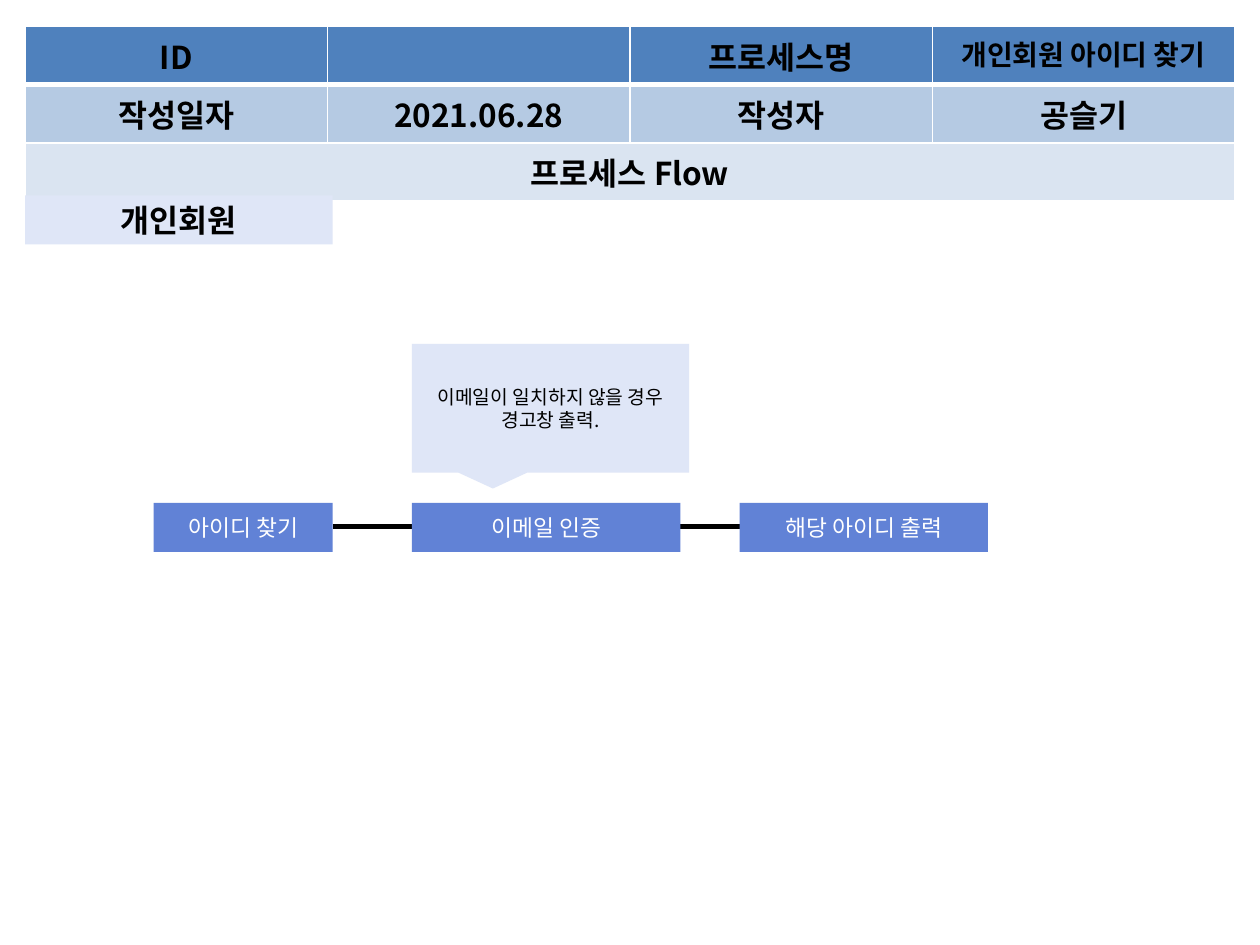
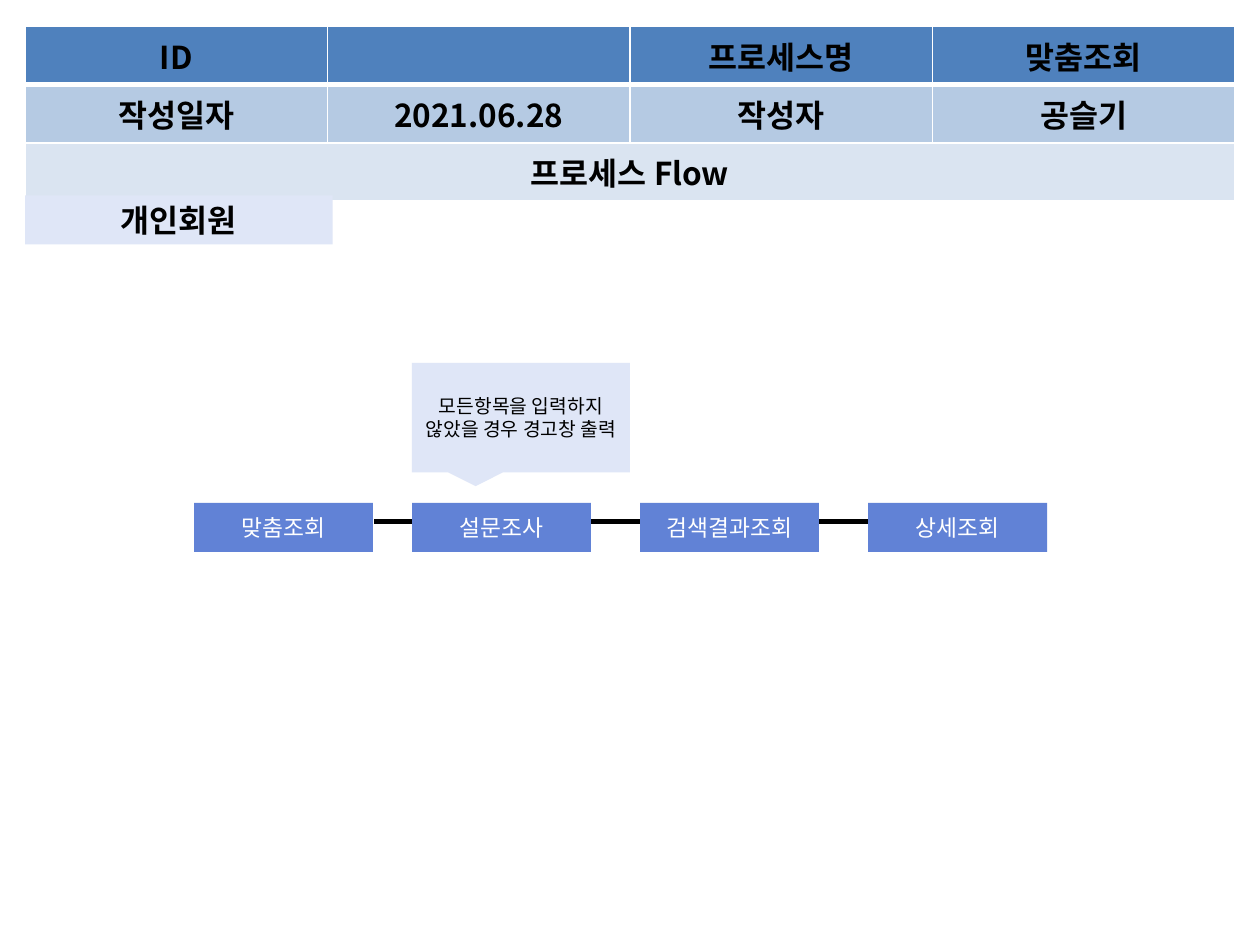
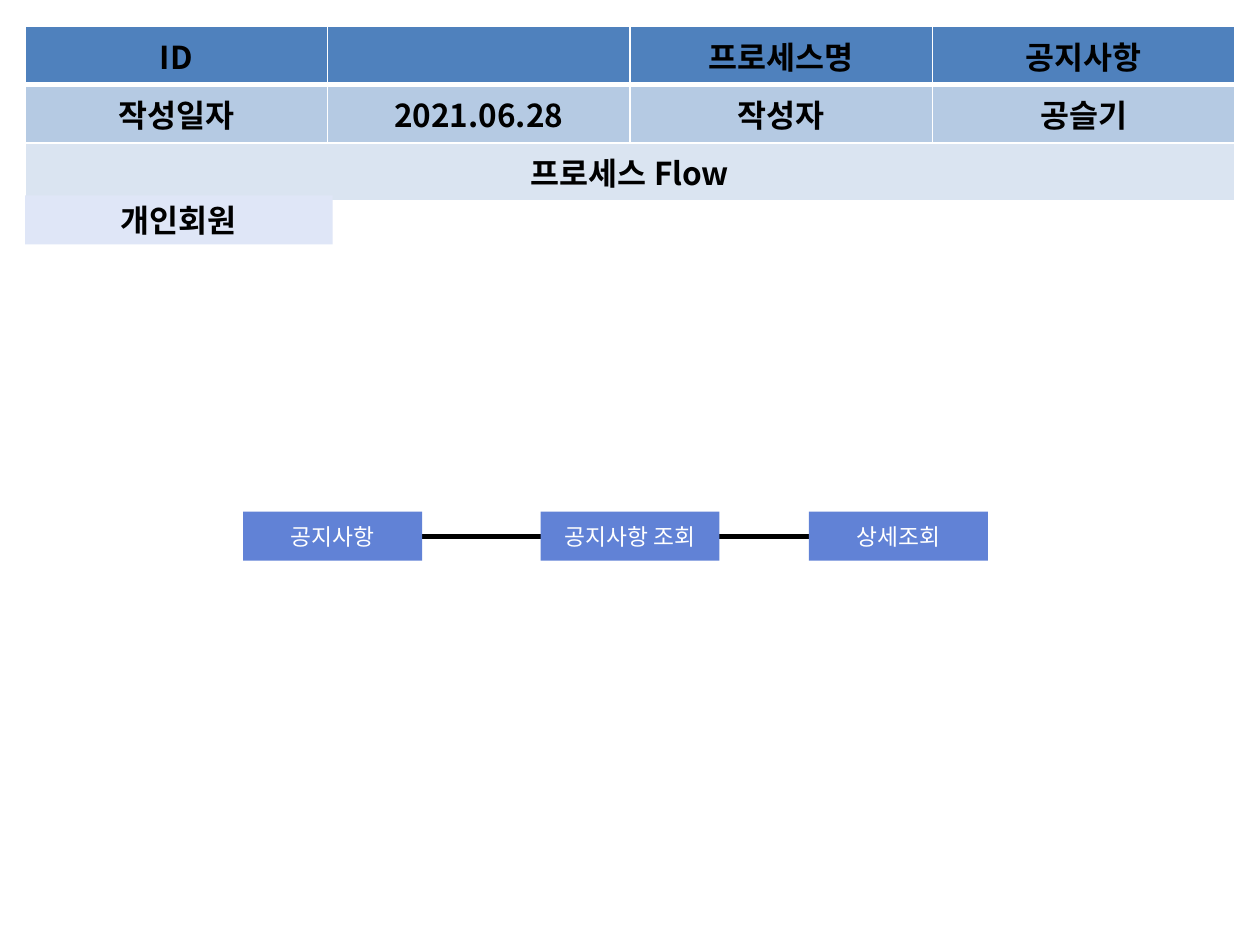
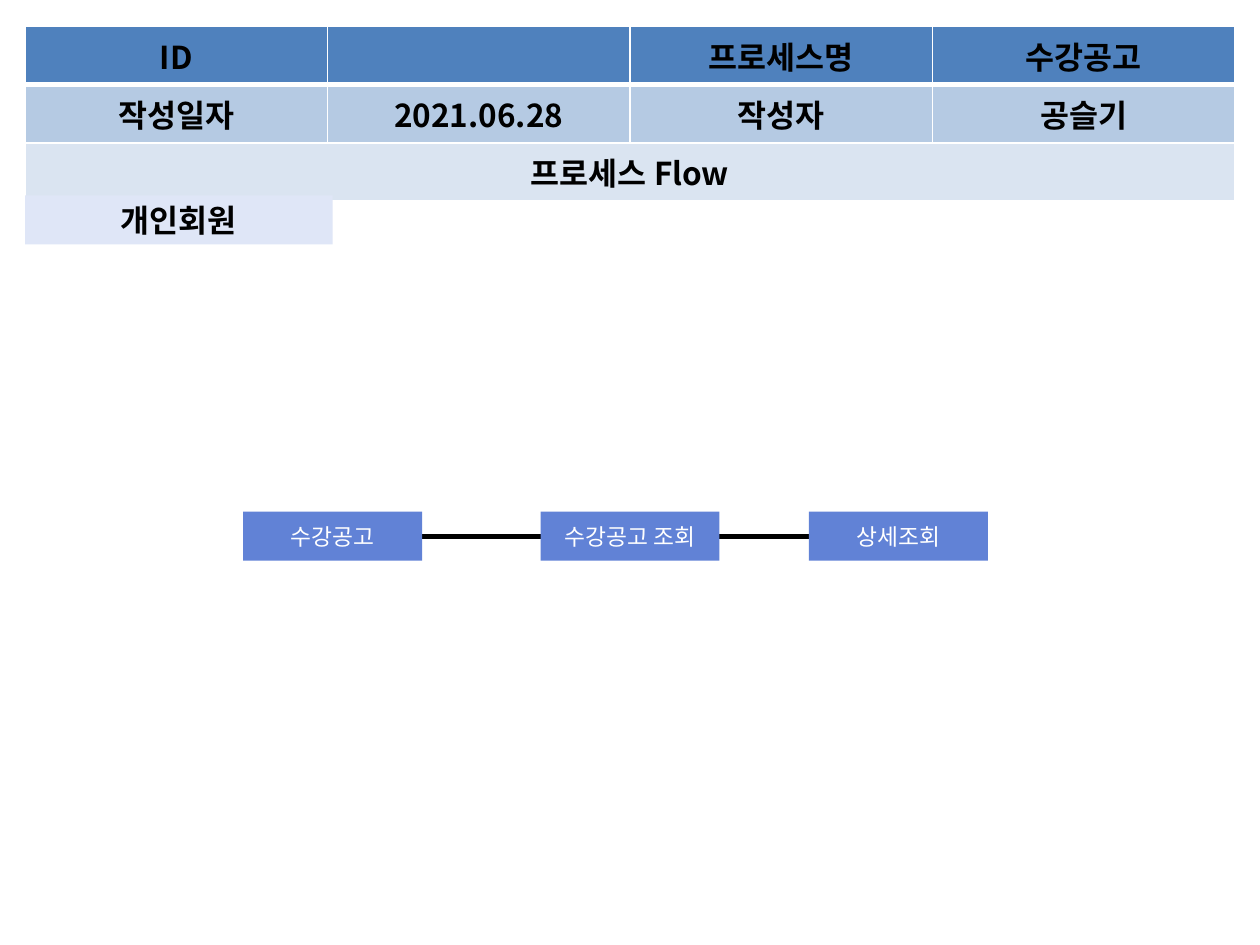
from dataclasses import dataclass

from lxml.etree import SubElement
from pptx import Presentation
from pptx.dml.color import RGBColor
from pptx.enum.shapes import MSO_CONNECTOR, MSO_SHAPE
from pptx.enum.text import MSO_ANCHOR, PP_ALIGN
from pptx.oxml.ns import qn
from pptx.util import Inches, Pt


@dataclass(frozen=True)
class Theme:
    """Colours, font and type sizes shared by all slides."""
    font: str = "Noto Sans CJK KR"
    black: str = "000000"
    white: str = "FFFFFF"
    pale: str = "DFE6F7"
    step: str = "6182D6"
    header_rows: tuple = ("4F81BD", "B5CAE3", "DAE4F1")
    heading_size: float = 18
    long_name_size: float = 16
    step_size: float = 13
    note_size: float = 11
    line_width: float = 3
    thin_border: float = 1


@dataclass(frozen=True)
class Box:
    """A region of the slide, in inches."""
    left: float
    top: float
    width: float
    height: float

    def lengths(self):
        """Return the four measures as lengths."""
        return [Inches(value) for value in
                (self.left, self.top, self.width, self.height)]


@dataclass(frozen=True)
class Process:
    """One process: its name, its row of steps and its connecting line."""
    name: str
    steps: tuple  # (text, left, width)
    top: float
    line: tuple  # (start, end, height on the slide)
    note: str = ""
    note_box: Box = None
    name_size: float = 18


THEME = Theme()
HEADER_BOX = Box(0.2, 0.21, 9.6, 1.23)
HEADER_COLUMNS = (1.02, 1.38, 2.4, 2.4, 2.4)
MEMBER_BOX = Box(0.2, 1.55, 2.44, 0.39)
STEP_WIDTH = 1.42
STEP_HEIGHT = 0.39


def listing_process(name):
    """Describe the process that lists entries and opens one of them."""
    return Process(
        name,
        ((name, 1.93, STEP_WIDTH), (f"{name} 조회", 4.29, STEP_WIDTH),
         ("상세조회", 6.42, STEP_WIDTH)),
        4.06, (3.35, 6.42, 4.26))


PROCESSES = (
    Process(
        "개인회원 아이디 찾기",
        (("아이디 찾기", 1.22, STEP_WIDTH), ("이메일 인증", 3.27, 2.13),
         ("해당 아이디 출력", 5.87, 1.97)),
        3.99, (2.64, 7.41, 4.18),
        "이메일이 일치하지 않을 경우 경고창 출력.", Box(3.27, 2.73, 2.2, 1.02),
        THEME.long_name_size),
    Process(
        "맞춤조회",
        tuple((text, left, STEP_WIDTH) for text, left in
              (("맞춤조회", 1.54), ("설문조사", 3.27),
               ("검색결과조회", 5.08), ("상세조회", 6.89))),
        3.99, (2.97, 6.9, 4.14),
        "모든항목을 입력하지 않았을 경우 경고창 출력", Box(3.27, 2.88, 1.73, 0.87)),
    listing_process("공지사항"),
    listing_process("수강공고"),
)


def write_text(text_frame, text, size, color, bold=False):
    """Write one centred paragraph in the theme font."""
    text_frame.word_wrap = True
    paragraph = text_frame.paragraphs[0]
    paragraph.text = text
    paragraph.alignment = PP_ALIGN.CENTER
    font = paragraph.font
    font.size = Pt(size)
    font.bold = bold
    font.color.rgb = RGBColor.from_string(color)
    font.name = THEME.font
    properties = paragraph._p.pPr.find(qn("a:defRPr"))
    SubElement(properties, qn("a:ea"), typeface=THEME.font)


def add_block(slide, box, text, fill, size, color,
              kind=MSO_SHAPE.RECTANGLE, bold=False):
    """Add a flat filled shape with centred text."""
    shape = slide.shapes.add_shape(kind, *box.lengths())
    shape.shadow.inherit = False
    shape.fill.solid()
    shape.fill.fore_color.rgb = RGBColor.from_string(fill)
    shape.line.fill.background()
    shape.text_frame.vertical_anchor = MSO_ANCHOR.MIDDLE
    write_text(shape.text_frame, text, size, color, bold)
    return shape


def set_borders(cell, row):
    """Draw white cell borders, with a thick rule below the first row."""
    widths = {"lnL": THEME.thin_border, "lnR": THEME.thin_border,
              "lnT": THEME.line_width if row == 1 else THEME.thin_border,
              "lnB": THEME.line_width if row == 0 else THEME.thin_border}
    properties = cell._tc.get_or_add_tcPr()
    for side, width in widths.items():
        border = SubElement(properties, qn(f"a:{side}"), w=str(Pt(width)))
        fill = SubElement(border, qn("a:solidFill"))
        SubElement(fill, qn("a:srgbClr"), val=THEME.white)


def add_header(slide, box, process):
    """Add the table that identifies the process."""
    rows = (("ID", "", "", "프로세스명", process.name),
            ("작성일자", "", "2021.06.28", "작성자", "공슬기"),
            ("프로세스 Flow", "", "", "", ""))
    table = slide.shapes.add_table(
        len(rows), len(HEADER_COLUMNS), *box.lengths()).table
    table.first_row = table.horz_banding = False
    for column, width in zip(table.columns, HEADER_COLUMNS):
        column.width = Inches(width)
    for row, last_merged in enumerate((1, 1, 4)):
        table.cell(row, 0).merge(table.cell(row, last_merged))
    for row, texts in enumerate(rows):
        for column, text in enumerate(texts):
            cell = table.cell(row, column)
            set_borders(cell, row)
            cell.fill.solid()
            cell.fill.fore_color.rgb = RGBColor.from_string(
                THEME.header_rows[row])
            if text:
                size = (process.name_size if text == process.name
                        else THEME.heading_size)
                write_text(cell.text_frame, text, size, THEME.black, True)


def add_flow_line(slide, start, end, height):
    """Add the horizontal line that runs behind the steps."""
    connector = slide.shapes.add_connector(
        MSO_CONNECTOR.STRAIGHT, Inches(start), Inches(height),
        Inches(end), Inches(height))
    connector.line.color.rgb = RGBColor.from_string(THEME.black)
    connector.line.width = Pt(THEME.line_width)
    SubElement(connector._element.spPr, qn("a:effectLst"))


def add_note(slide, box, text):
    """Add a callout that points down at a step."""
    callout = add_block(slide, box, text, THEME.pale, THEME.note_size,
                        THEME.black, MSO_SHAPE.RECTANGULAR_CALLOUT)
    callout.adjustments[0] = -0.208
    callout.adjustments[1] = 0.625


def add_process_slide(presentation, process):
    """Add the slide of one process."""
    slide = presentation.slides.add_slide(presentation.slide_layouts[6])
    add_flow_line(slide, *process.line)
    add_header(slide, HEADER_BOX, process)
    add_block(slide, MEMBER_BOX, "개인회원", THEME.pale,
              THEME.heading_size, THEME.black, bold=True)
    for text, left, width in process.steps:
        add_block(slide, Box(left, process.top, width, STEP_HEIGHT), text,
                  THEME.step, THEME.step_size, THEME.white)
    if process.note:
        add_note(slide, process.note_box, process.note)


def main():
    """Build and save the presentation."""
    presentation = Presentation()
    presentation.slide_width = Inches(10)
    presentation.slide_height = Inches(7.5)
    for process in PROCESSES:
        add_process_slide(presentation, process)
    presentation.save("out.pptx")


main()
